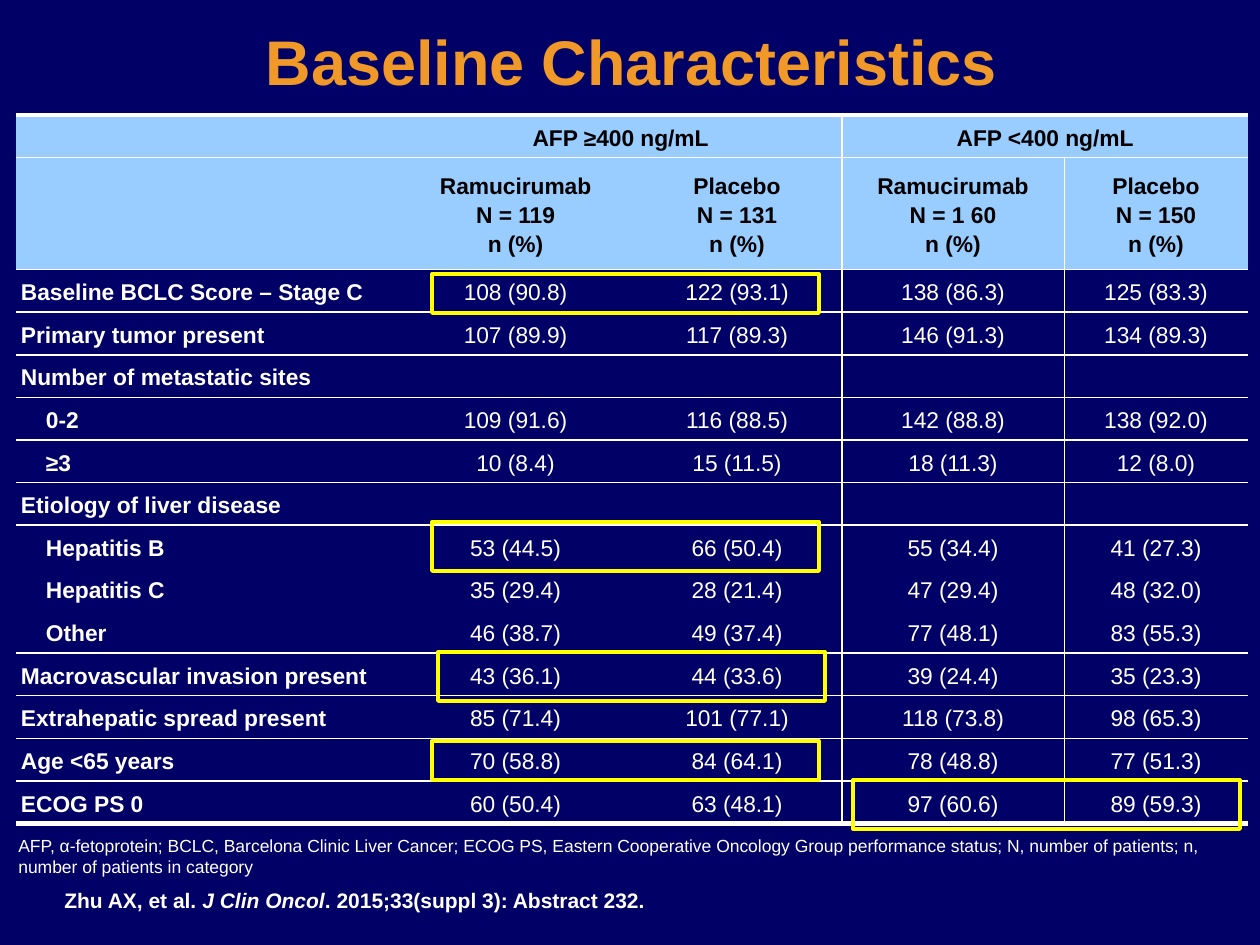
from lxml.etree import SubElement
from pptx import Presentation
from pptx.dml.color import RGBColor as RGB
from pptx.enum.shapes import MSO_SHAPE as SHAPE
from pptx.enum.text import MSO_ANCHOR as ANCHOR, PP_ALIGN as ALIGN
from pptx.oxml.ns import qn
from pptx.util import Pt

HUES = {"back": "000066", "title": "F09828", "head": "99CCFF",
        "dark": "000000", "light": "FFFFFF", "mark": "FFFF00"}
FONT = "Arial"
TITLE = "Baseline Characteristics"
ROWS = [
    ("", "AFP ≥400 ng/mL", "", "AFP <400 ng/mL", ""),
    ("", "Ramucirumab\nN = 119\nn (%)", "Placebo\nN = 131\nn (%)",
     "Ramucirumab\nN = 1 60\nn (%)", "Placebo\nN = 150\nn (%)"),
    ("Baseline BCLC Score – Stage C", "108 (90.8)", "122 (93.1)", "138 (86.3)", "125 (83.3)"),
    ("Primary tumor present", "107 (89.9)", "117 (89.3)", "146 (91.3)", "134 (89.3)"),
    ("Number of metastatic sites", "", "", "", ""),
    ("0-2", "109 (91.6)", "116 (88.5)", "142 (88.8)", "138 (92.0)"),
    ("≥3", "10 (8.4)", "15 (11.5)", "18 (11.3)", "12 (8.0)"),
    ("Etiology of liver disease", "", "", "", ""),
    ("Hepatitis B", "53 (44.5)", "66 (50.4)", "55 (34.4)", "41 (27.3)"),
    ("Hepatitis C", "35 (29.4)", "28 (21.4)", "47 (29.4)", "48 (32.0)"),
    ("Other", "46 (38.7)", "49 (37.4)", "77 (48.1)", "83 (55.3)"),
    ("Macrovascular invasion present", "43 (36.1)", "44 (33.6)", "39 (24.4)", "35 (23.3)"),
    ("Extrahepatic spread present", "85 (71.4)", "101 (77.1)", "118 (73.8)", "98 (65.3)"),
    ("Age <65 years", "70 (58.8)", "84 (64.1)", "78 (48.8)", "77 (51.3)"),
    ("ECOG PS 0", "60 (50.4)", "63 (48.1)", "97 (60.6)", "89 (59.3)"),
]
HEADS = 2
SUBS = {"0-2", "≥3", "Hepatitis B", "Hepatitis C", "Other"}
OPEN = SUBS - {"0-2"}
NOTE = ("AFP, α-fetoprotein; BCLC, Barcelona Clinic Liver Cancer; ECOG PS, Eastern "
        "Cooperative Oncology Group performance status; N, number of patients; n, "
        "number of patients in category")
CITE = [("Zhu AX, et al. ", False), ("J Clin Oncol", True),
        (". 2015;33(suppl 3): Abstract 232.", False)]
COLS = [383, 233, 210, 222, 184]
GRID = (16, 115, sum(COLS), 709)
TALL = 112
PAD, INDENT = 5, 25
MARKS = [(432, 274, 39), (438, 652, 49), (432, 522, 49), (853, 780, 49), (432, 741, 39)]
WIDE = 387
PLAIN = "{2D5ABB26-0587-4C30-8999-92F81FD0307C}"
SCALE = 914400 / 126


def px(n):
    return round(n * SCALE)


def hue(name):
    return RGB.from_string(HUES[name])


def style(run, size, tint, bold=False, slant=False):
    font = run.font
    font.name, font.size, font.bold, font.italic = FONT, Pt(size), bold, slant
    font.color.rgb = hue(tint)


def edge(cell, side, width):
    line = SubElement(cell._tc.get_or_add_tcPr(), qn("a:ln" + side), w=str(Pt(width)))
    fill = SubElement(line, qn("a:solidFill"))
    SubElement(fill, qn("a:srgbClr"), val=HUES["light"])


def rules(cell, row, col):
    last = len(ROWS) - 1
    if col == 3 or (col == 4 and row):
        edge(cell, "L", 1 if col == 3 else 0.5)
    if col == 2 or (row == 0 and col == 1):
        edge(cell, "R", 1)
    elif col == 3 and row:
        edge(cell, "R", 0.5)
    if ROWS[row][0] not in OPEN:
        edge(cell, "T", 1 if row else 3)
    if row == last or ROWS[row + 1][0] not in OPEN:
        edge(cell, "B", 3 if row == last else 1)


def fill_cell(cell, row, col):
    text, head = ROWS[row][col], row < HEADS
    rules(cell, row, col)
    if head:
        cell.fill.solid()
        cell.fill.fore_color.rgb = hue("head")
    else:
        cell.fill.background()
    cell.vertical_anchor = ANCHOR.MIDDLE
    cell.margin_right = cell.margin_top = cell.margin_bottom = px(PAD)
    cell.margin_left = px(PAD + INDENT * (text in SUBS))
    par = cell.text_frame.paragraphs[0]
    par.alignment = ALIGN.CENTER if col else ALIGN.LEFT
    par.line_spacing = 1.15
    if not text:
        SubElement(par._p, qn("a:endParaRPr"), sz="1300")
        return
    par.text = text
    for run in par.runs:
        style(run, 13, "dark" if head else "light", head or col == 0)


def add_grid(slide):
    frame = slide.shapes.add_table(len(ROWS), len(COLS), *map(px, GRID))
    grid = frame.table
    grid.first_row = grid.horz_banding = False
    grid._tbl.tblPr.find(qn("a:tableStyleId")).text = PLAIN
    for col, width in zip(grid.columns, COLS):
        col.width = px(width)
    short = (GRID[3] - TALL) / (len(ROWS) - 1)
    for i, row in enumerate(grid.rows):
        row.height = px(TALL if i == 1 else short)
    for col in (1, 3):
        grid.cell(0, col).merge(grid.cell(0, col + 1))
    for row in range(len(ROWS)):
        for col in range(len(COLS)):
            fill_cell(grid.cell(row, col), row, col)


def add_text(slide, box, parts, size, bold):
    frame = slide.shapes.add_textbox(*map(px, box)).text_frame
    frame.word_wrap = True
    for text, slant in parts:
        run = frame.paragraphs[0].add_run()
        run.text = text
        style(run, size, "light", bold, slant)


def add_mark(slide, left, top, high):
    box = slide.shapes.add_shape(SHAPE.RECTANGLE, *map(px, (left, top, WIDE, high)))
    box.shadow.inherit = False
    box.fill.background()
    box.line.color.rgb = hue("mark")
    box.line.width = Pt(2.25)


def main():
    deck = Presentation()
    deck.slide_width, deck.slide_height = px(1260), px(945)
    slide = deck.slides.add_slide(deck.slide_layouts[5])
    slide.background.fill.solid()
    slide.background.fill.fore_color.rgb = hue("back")
    title = slide.shapes.title
    title.left, title.top, title.width, title.height = map(px, (28, 16, 1207, 89))
    title.text_frame.text = TITLE
    title.text_frame.vertical_anchor = ANCHOR.MIDDLE
    par = title.text_frame.paragraphs[0]
    par.alignment = ALIGN.CENTER
    style(par.runs[0], 36, "title", True)
    add_text(slide, (6, 829, 1249, 55), [(NOTE, False)], 10, False)
    add_grid(slide)
    for mark in MARKS:
        add_mark(slide, *mark)
    add_text(slide, (52, 881, 794, 38), CITE, 12, True)
    deck.save("out.pptx")


if __name__ == "__main__":
    main()
